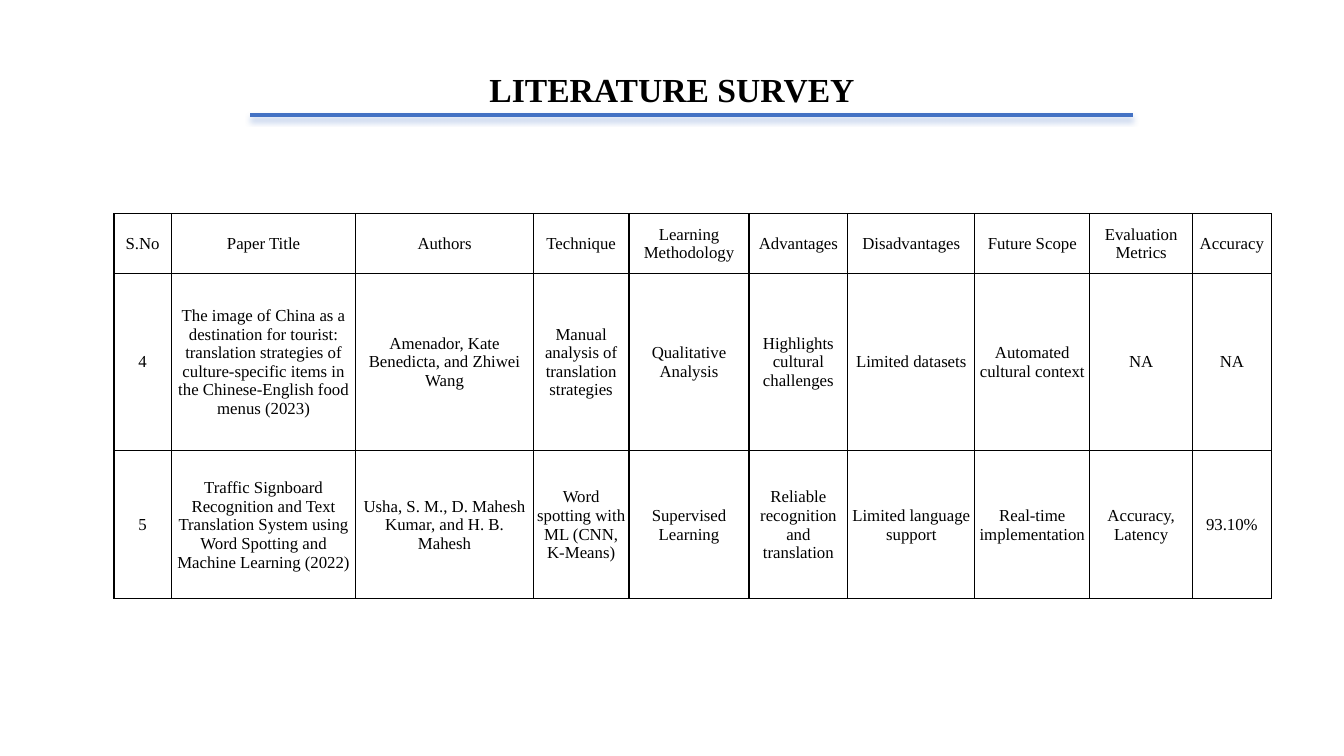
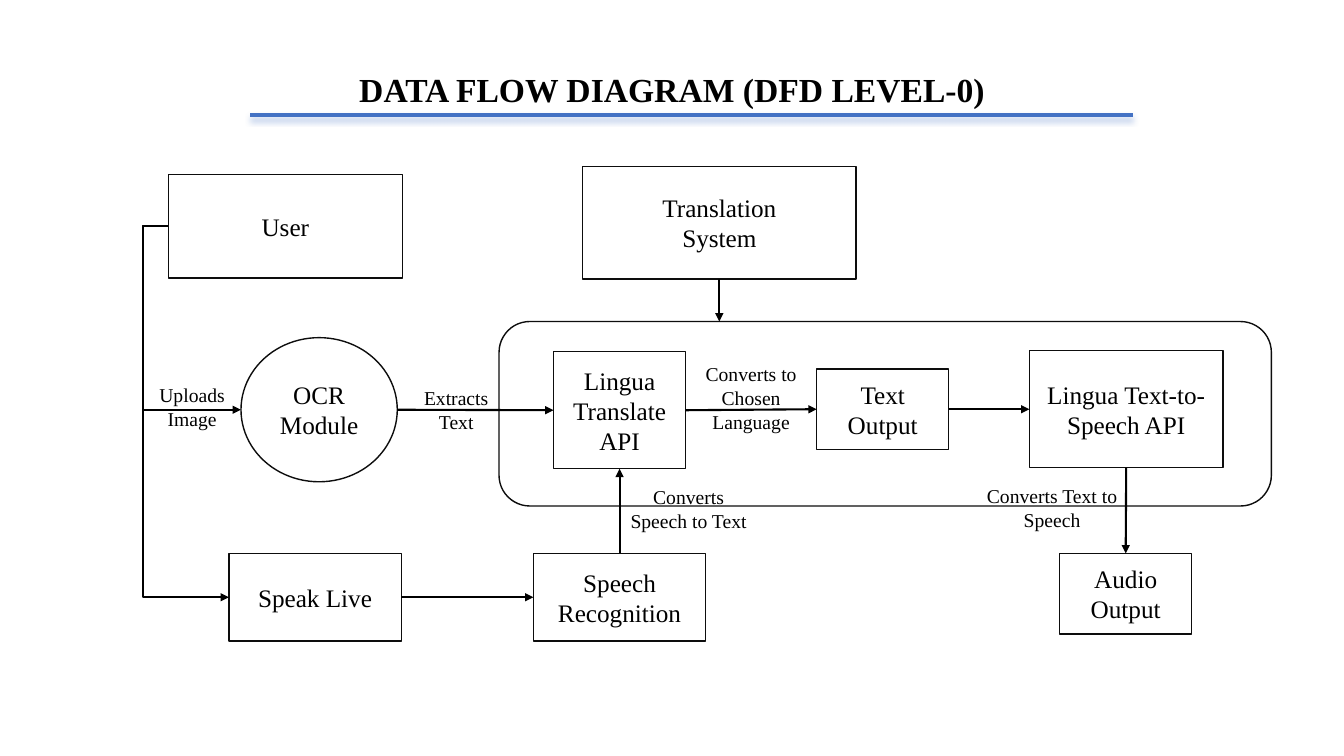
from lxml import etree
from pptx import Presentation
from pptx import util as u
from pptx.dml.color import RGBColor
from pptx.enum import shapes, text
from pptx.oxml import ns

PX = 9144
FONT = "Times New Roman"
BLACK, BOX_LINE, ACCENT = "000000", "0D0D0D", "4472C4"

SURVEY_TITLE = "LITERATURE SURVEY"
SURVEY_AT = (113, 212)
COLUMN_WIDTHS = [57, 183, 176, 95, 119, 98, 126, 114, 102, 78]
ROW_HEIGHTS = [59, 176, 147]
SURVEY = [
    ["S.No", "Paper Title", "Authors", "Technique", "Learning Methodology", "Advantages",
     "Disadvantages", "Future Scope", "Evaluation Metrics", "Accuracy"],
    ["4", "The image of China as a destination for tourist: translation strategies of "
     "culture-specific items in the Chinese-English food menus (2023)",
     "Amenador, Kate Benedicta, and Zhiwei Wang", "Manual analysis of translation strategies",
     "Qualitative Analysis", "Highlights cultural challenges", "Limited datasets",
     "Automated cultural context", "NA", "NA"],
    ["5", "Traffic Signboard Recognition and Text Translation System using Word Spotting "
     "and Machine Learning (2022)",
     "Usha, S. M., D. Mahesh Kumar, and H. B. Mahesh",
     "Word spotting with ML (CNN, K-Means)", "Supervised Learning",
     "Reliable recognition and translation", "Limited language support",
     "Real-time implementation", "Accuracy, Latency", "93.10%"],
]

FLOW_TITLE = "DATA FLOW DIAGRAM (DFD LEVEL-0)"
RECT = shapes.MSO_SHAPE.RECTANGLE
NODES = {
    "group": (shapes.MSO_SHAPE.ROUNDED_RECTANGLE, (495, 319, 766, 183), ""),
    "system": (RECT, (578, 165, 271, 112), "Translation\vSystem"),
    "user": (RECT, (167, 173, 232, 103), "User"),
    "ocr": (shapes.MSO_SHAPE.OVAL, (239, 335, 155, 143), "OCR Module"),
    "translate": (RECT, (549, 349, 131, 116), "Lingua Translate API"),
    "text": (RECT, (810, 366, 131, 80), "Text Output"),
    "speech": (RECT, (1021, 348, 192, 116), "Lingua Text-to-Speech API"),
    "audio": (RECT, (1051, 549, 131, 80), "Audio Output"),
    "live": (RECT, (227, 549, 171, 87), "Speak Live"),
    "recognition": (RECT, (529, 549, 171, 87), "Speech Recognition"),
}
FLOWS = [
    ("ocr", "right", "translate", "left"),
    ("translate", "right", "text", "left"),
    ("text", "right", "speech", "left"),
    ("speech", "bottom", "audio", "top"),
    ("live", "right", "recognition", "left"),
    ("recognition", "top", "translate", "bottom"),
]
USER_TARGETS = ["ocr", "live"]
USER_TURN_X = 142
LABELS = [
    ((131, 375, 119, 57), "Uploads Image"),
    ((399, 378, 107, 57), "Extracts Text"),
    ((685, 354, 120, 81), "Converts to Chosen Language"),
    ((611, 476, 144, 57), "Converts Speech to Text"),
    ((963, 475, 161, 57), "Converts Text to Speech"),
]


def px(*lengths):
    return [u.Emu(round(length * PX)) for length in lengths]


def color(value):
    return RGBColor.from_string(value)


def sub(parent, tag, **attributes):
    return etree.SubElement(parent, ns.qn(tag), attributes)


def style_text(frame, size, bold=False, anchor=text.MSO_ANCHOR.MIDDLE):
    frame.word_wrap = True
    frame.vertical_anchor = anchor
    style_paragraph(frame.paragraphs[0], size, bold)


def style_paragraph(para, size, bold=False):
    para.alignment = text.PP_ALIGN.CENTER
    para.font.name = FONT
    para.font.size = u.Pt(size)
    para.font.bold = bold
    para.font.color.rgb = color(BLACK)


def add_line(page, start, end, line_color=BLACK, width=1.5, arrow=True, turn_x=None):
    kind = shapes.MSO_CONNECTOR.STRAIGHT if turn_x is None else shapes.MSO_CONNECTOR.ELBOW
    line = page.shapes.add_connector(kind, *px(*start, *end))
    line.line.color.rgb = color(line_color)
    line.line.width = u.Pt(width)
    properties = line._element.spPr
    if arrow:
        sub(properties.find(ns.qn("a:ln")), "a:tailEnd", type="triangle")
    if turn_x is not None:
        share = round((turn_x - start[0]) / (end[0] - start[0]) * 100000)
        guides = properties.find(ns.qn("a:prstGeom")).find(ns.qn("a:avLst"))
        sub(guides, "a:gd", name="adj1", fmla=f"val {share}")
    return sub(properties, "a:effectLst")


def add_page(deck, title_text):
    page = deck.slides.add_slide(deck.slide_layouts[5])
    title = page.shapes.title
    title.left, title.top, title.width, title.height = px(307, 56, 719, 58)
    title.text_frame.text = title_text
    title.text_frame.auto_size = text.MSO_AUTO_SIZE.NONE
    style_text(title.text_frame, 24, True, text.MSO_ANCHOR.BOTTOM)
    title.text_frame.paragraphs[0].line_spacing = 0.9
    effects = add_line(page, (248, 114), (1124, 114), ACCENT, 2.75, arrow=False)
    shadow = sub(effects, "a:outerShdw", blurRad=str(u.Pt(4)), dist=str(u.Pt(3)),
                 dir="5400000", algn="t", rotWithShape="0")
    sub(sub(shadow, "a:srgbClr", val=ACCENT), "a:alpha", val="40000")
    return page


def format_cell(cell, words):
    cell.text = words
    cell.vertical_anchor = text.MSO_ANCHOR.MIDDLE
    cell.margin_left, cell.margin_right, cell.margin_top, cell.margin_bottom = px(1, 1, 1, 0)
    style_paragraph(cell.text_frame.paragraphs[0], 12)
    properties = cell._tc.get_or_add_tcPr()
    for side in "LRTB":
        border = sub(properties, f"a:ln{side}", w=str(u.Pt(1)))
        sub(sub(border, "a:solidFill"), "a:srgbClr", val=BLACK)
    cell.fill.background()


def build_survey(deck):
    page = add_page(deck, SURVEY_TITLE)
    size = (sum(COLUMN_WIDTHS), sum(ROW_HEIGHTS))
    table = page.shapes.add_table(len(SURVEY), len(COLUMN_WIDTHS), *px(*SURVEY_AT, *size)).table
    table.first_row = table.horz_banding = False
    for column, width in zip(table.columns, px(*COLUMN_WIDTHS)):
        column.width = width
    for row, height, entries in zip(table.rows, px(*ROW_HEIGHTS), SURVEY):
        row.height = height
        for cell, words in zip(row.cells, entries):
            format_cell(cell, words)


def side_point(name, side):
    left, top, width, height = NODES[name][1]
    across, down = {"top": (0.5, 0), "bottom": (0.5, 1),
                    "left": (0, 0.5), "right": (1, 0.5)}[side]
    return left + across * width, top + down * height


def build_flow(deck):
    page = add_page(deck, FLOW_TITLE)
    for kind, place, words in NODES.values():
        node = page.shapes.add_shape(kind, *px(*place))
        node.shadow.inherit = False
        node.fill.background()
        node.line.color.rgb = color(BOX_LINE)
        node.line.width = u.Pt(1)
        if words:
            node.text_frame.text = words
            style_text(node.text_frame, 18)
    for source, source_side, target, target_side in FLOWS:
        add_line(page, side_point(source, source_side), side_point(target, target_side))
    start = side_point("system", "bottom")
    add_line(page, start, (start[0], side_point("group", "top")[1]))
    for target in USER_TARGETS:
        add_line(page, side_point("user", "left"), side_point(target, "left"),
                 turn_x=USER_TURN_X)
    for place, words in LABELS:
        label = page.shapes.add_textbox(*px(*place))
        label.text_frame.text = words
        style_text(label.text_frame, 14)


def main():
    deck = Presentation()
    deck.slide_width, deck.slide_height = px(1333, 750)
    build_survey(deck)
    build_flow(deck)
    deck.save("out.pptx")


if __name__ == "__main__":
    main()
